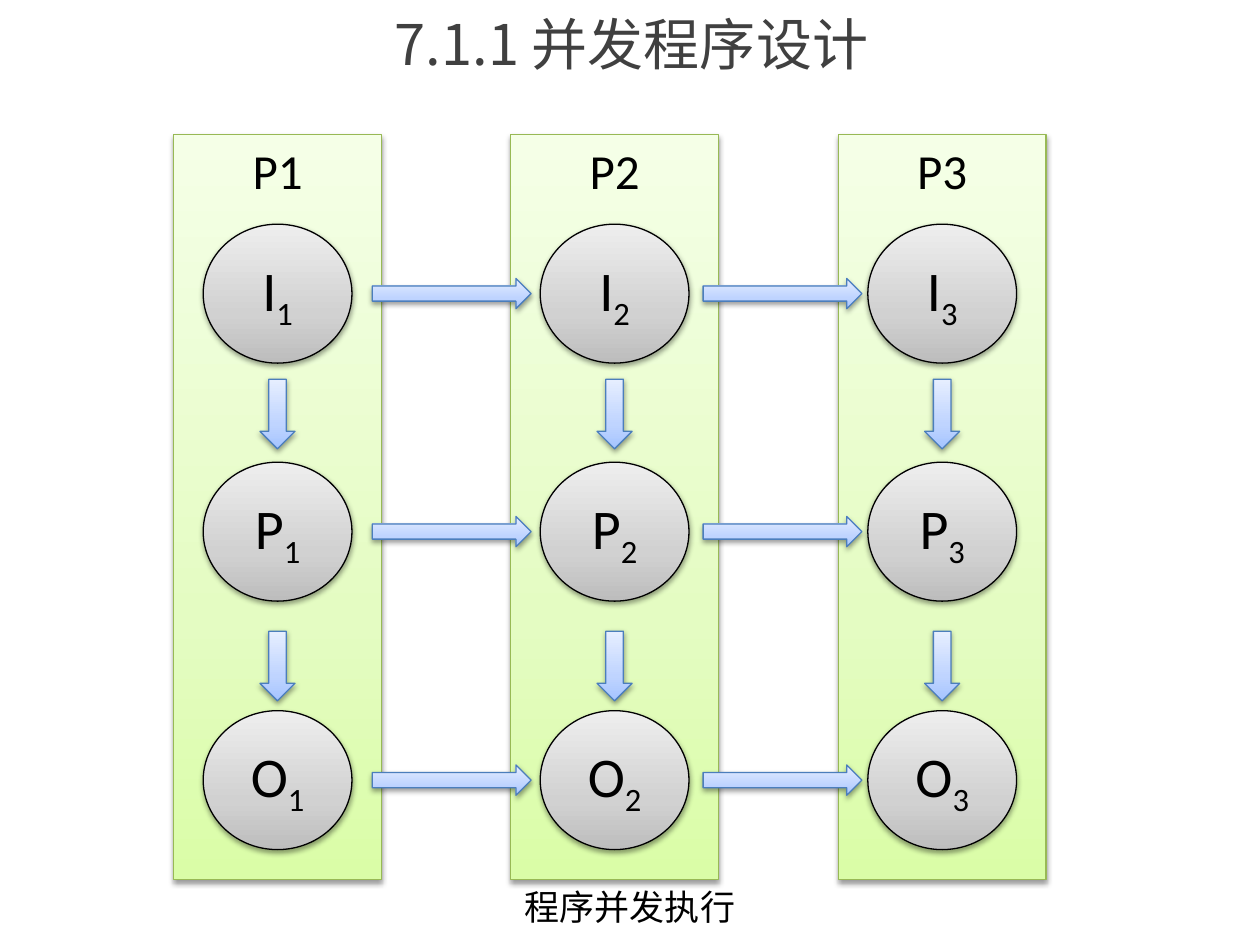
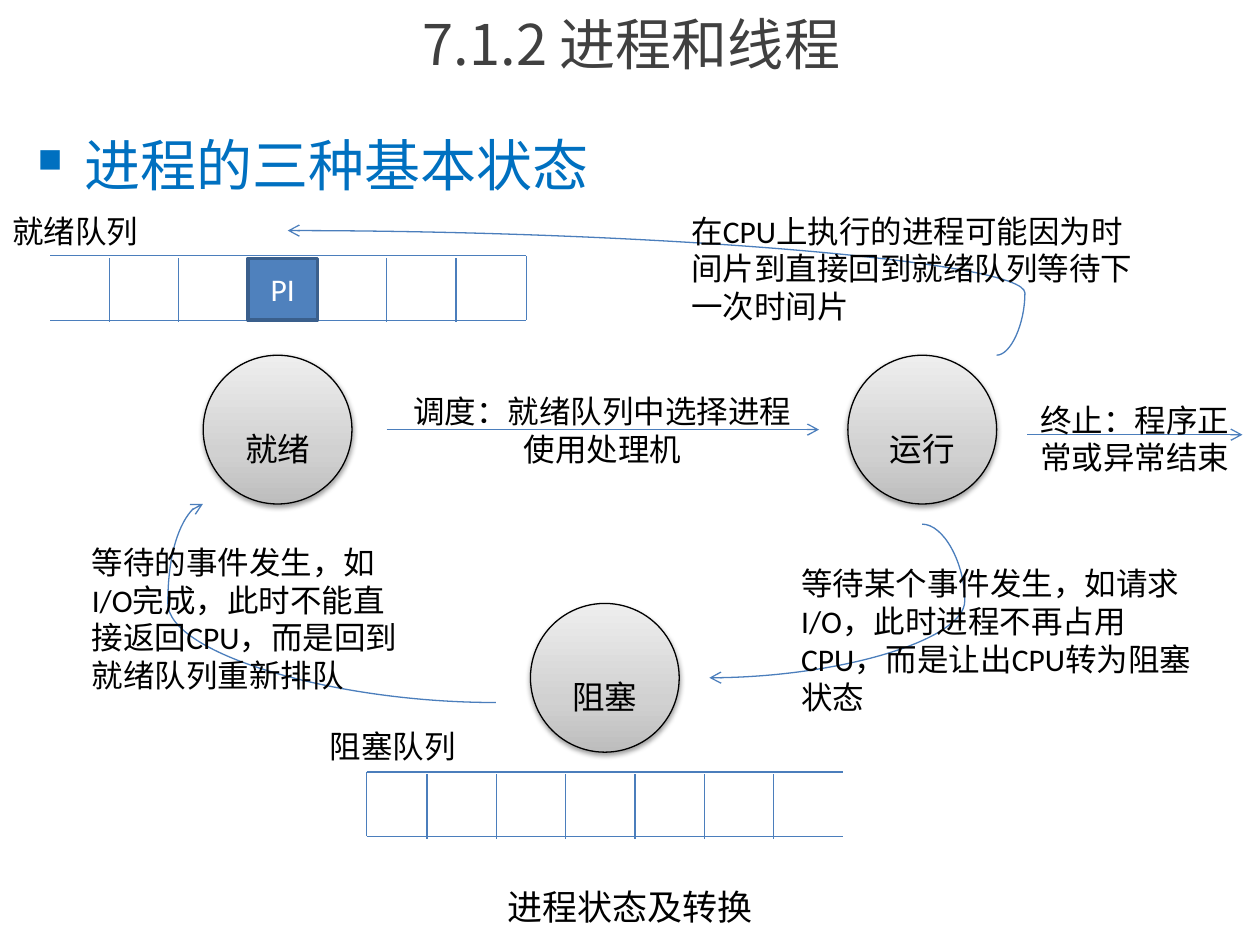
import dataclasses

import lxml.etree
import pptx
import pptx.dml.color
import pptx.enum.shapes
import pptx.enum.text
import pptx.oxml.ns
import pptx.util

Pt = pptx.util.Pt
qn = pptx.oxml.ns.qn
SHAPE = pptx.enum.shapes.MSO_SHAPE
CONNECTOR = pptx.enum.shapes.MSO_CONNECTOR
ALIGN = pptx.enum.text.PP_ALIGN
ANCHOR = pptx.enum.text.MSO_ANCHOR


@dataclasses.dataclass(frozen=True)
class Theme:
    latin: str = "Calibri"
    chinese: str = "Noto Sans CJK SC"
    ink: str = "000000"
    title: str = "404040"
    heading: str = "0070C0"
    white: str = "FFFFFF"
    stroke: str = "4B7EBC"
    process: str = "4F81BD"
    process_edge: str = "3A5F8C"
    band_edge: str = "98B955"
    green: tuple = ("DAFDA7", "E4FCC2", "F5FFE7")
    grey: tuple = ("BDBDBD", "D1D1D1", "EEEEEE")
    blue: tuple = ("A4C4FF", "BFD4FF", "E6EEFF")
    title_size: float = 32
    state_size: float = 32
    band_size: float = 28
    caption_size: float = 20
    note_size: float = 18
    hairline: float = 0.75


THEME = Theme()
STATE_WIDTH = 85


def rgb(code):
    return pptx.dml.color.RGBColor.from_string(code)


def add_xml(parent, tag, **attributes):
    element = lxml.etree.SubElement(parent, qn(tag))
    for name, value in attributes.items():
        element.set(name, str(value))
    return element


def add_shadow(effects, blur, distance, angle, opacity):
    shadow = add_xml(effects, "a:outerShdw", blurRad=Pt(blur), dist=Pt(distance),
                     dir=angle * 60000, algn="ctr", rotWithShape=0)
    colour = add_xml(shadow, "a:srgbClr", val=THEME.ink)
    add_xml(colour, "a:alpha", val=opacity * 1000)


# Text
def write(shape, text, size=THEME.note_size, color=THEME.ink, font=THEME.latin,
          align=ALIGN.LEFT, anchor=ANCHOR.TOP, subscript="", lowered=False):
    """Put text into a shape, optionally lowered or followed by a subscript."""
    frame = shape.text_frame
    frame.word_wrap = True
    frame.auto_size = pptx.enum.text.MSO_AUTO_SIZE.NONE
    frame.vertical_anchor = anchor
    paragraph = frame.paragraphs[0]
    paragraph.alignment = align
    for part, is_low in ((text, lowered), (subscript, True)):
        if not part:
            continue
        run = paragraph.add_run()
        run.text = part
        run.font.size = Pt(size)
        run.font.color.rgb = rgb(color)
        run.font.name = font
        properties = run.font._element
        add_xml(properties, "a:ea", typeface=THEME.chinese)
        if is_low:
            properties.set("baseline", "-25000")
    return paragraph


def add_note(slide, text, left, top, width, height, **text_format):
    box = slide.shapes.add_textbox(Pt(left), Pt(top), Pt(width), Pt(height))
    return write(box, text, **text_format)


def add_caption(slide, text):
    add_note(slide, text, 246, 502.5, 228, 29, size=THEME.caption_size,
             font=THEME.chinese, align=ALIGN.CENTER)


def add_heading(slide, text):
    paragraph = add_note(slide, text, 14.4, 71.3, 692, 459, size=THEME.title_size,
                         color=THEME.heading, font=THEME.chinese)
    properties = paragraph._p.get_or_add_pPr()
    properties.set("marL", str(Pt(27)))
    properties.set("indent", str(Pt(-27)))
    spacing = add_xml(properties, "a:spcBef")
    add_xml(spacing, "a:spcPct", val=20000)
    add_xml(properties, "a:buSzPct", val=60000)
    add_xml(properties, "a:buChar", char="■")


def add_titled_slide(deck, text):
    slide = deck.slides.add_slide(deck.slide_layouts[5])
    title = slide.shapes.title
    title.left, title.top, title.width, title.height = Pt(52), Pt(0), Pt(625), Pt(49)
    paragraph = write(title, text, size=THEME.title_size, color=THEME.title,
                      font=THEME.chinese, align=ALIGN.CENTER, anchor=ANCHOR.MIDDLE)
    # The schema places text effects directly after the fill
    properties = paragraph.runs[0].font._element
    effects = add_xml(properties, "a:effectLst")
    properties.find(qn("a:solidFill")).addnext(effects)
    add_shadow(effects, blur=3, distance=3, angle=45, opacity=43)
    return slide


# Shapes
def add_block(slide, kind, left, top, width, height, edge, edge_width=THEME.hairline):
    block = slide.shapes.add_shape(kind, Pt(left), Pt(top), Pt(width), Pt(height))
    block.shadow.inherit = False
    block.line.color.rgb = rgb(edge)
    block.line.width = Pt(edge_width)
    return block


def add_shaded(slide, kind, left, top, width, height, colours, edge):
    block = add_block(slide, kind, left, top, width, height, edge)
    block.fill.gradient()
    block.fill.gradient_angle = 90
    properties = block._element.spPr
    stops = properties.find(qn("a:gradFill")).find(qn("a:gsLst"))
    for stop in list(stops):
        stops.remove(stop)
    for position, colour in zip((0, 35, 100), colours):
        stop = add_xml(stops, "a:gs", pos=position * 1000)
        add_xml(stop, "a:srgbClr", val=colour)
    add_shadow(properties.find(qn("a:effectLst")), blur=3.1, distance=1.6,
               angle=90, opacity=38)
    return block


def add_state(slide, text, center_x, center_y, height=STATE_WIDTH, **text_format):
    state = add_shaded(slide, SHAPE.OVAL, center_x - STATE_WIDTH / 2,
                       center_y - height / 2, STATE_WIDTH, height, THEME.grey, THEME.ink)
    write(state, text, size=THEME.state_size, align=ALIGN.CENTER,
          anchor=ANCHOR.MIDDLE, **text_format)


# Lines
def add_line(slide, start, end, arrow=False, bend=None):
    """Draw a line; bend is the curve's middle as a share of its width."""
    kind = CONNECTOR.STRAIGHT if bend is None else CONNECTOR.CURVE
    line = slide.shapes.add_connector(kind, *(Pt(value) for value in (*start, *end)))
    line.line.color.rgb = rgb(THEME.stroke)
    line.line.width = Pt(THEME.hairline)
    properties = line._element.spPr
    if arrow:
        add_xml(properties.find(qn("a:ln")), "a:tailEnd", type="arrow")
    add_xml(properties, "a:effectLst")
    if bend is not None:
        geometry = properties.find(qn("a:prstGeom"))
        guides = geometry.find(qn("a:avLst"))
        if guides is None:
            guides = add_xml(geometry, "a:avLst")
        add_xml(guides, "a:gd", name="adj1", fmla=f"val {round(bend * 100000)}")


def add_queue(slide, left, top, closed_x, first_divider):
    width, height, cell, drop = 272, 36.8, 39.6, 1.3
    for y in (top, top + height):
        add_line(slide, (left, y), (left + width, y))
    add_line(slide, (closed_x, top), (closed_x, top + height))
    for index in range(6):
        x = first_divider + index * cell
        add_line(slide, (x, top + drop), (x, top + drop + height))


# Slides
def build_concurrency(deck):
    slide = add_titled_slide(deck, "7.1.1 并发程序设计 ")
    centers = (158.6, 351.2, 538.4)
    rows = {"I": 167.8, "P": 303.8, "O": 445.8}
    band_top, band_width = 77, 118.8

    # Program bands
    for number, center in enumerate(centers, 1):
        left = center - band_width / 2
        add_shaded(slide, SHAPE.RECTANGLE, left, band_top, band_width, 425.5,
                   THEME.green, THEME.band_edge)
        add_note(slide, f"P{number}", left, band_top, band_width, 41,
                 size=THEME.band_size, align=ALIGN.CENTER)

    # Steps of each program
    for number, center in enumerate(centers, 1):
        for step, y in rows.items():
            add_state(slide, step, center, y, height=79.4, subscript=str(number))
        for top in (216.7, 360.7):
            add_shaded(slide, SHAPE.DOWN_ARROW, center - 10, top, 20, 39.8,
                       THEME.blue, THEME.stroke)

    # Order between programs
    for y in rows.values():
        for left in (212.8, 401.8):
            add_shaded(slide, SHAPE.RIGHT_ARROW, left, y - 8.65, 90.7, 17.3,
                       THEME.blue, THEME.stroke)
    add_caption(slide, "程序并发执行")


def build_process_states(deck):
    slide = add_titled_slide(deck, "7.1.2 进程和线程 ")
    add_heading(slide, "进程的三种基本状态")

    # States
    for name, x, y in (("就绪", 158.6, 245.5), ("运行", 527, 245.5), ("阻塞", 345.6, 387.3)):
        add_state(slide, name, x, y, lowered=True)

    # Queues
    add_queue(slide, left=28.8, top=146.2, closed_x=300.8, first_divider=62.6)
    add_note(slide, "就绪队列", 0, 117.4, 102, 29)
    process = add_block(slide, SHAPE.RECTANGLE, 141.8, 147.6, 39.6, 35.4,
                        THEME.process_edge, edge_width=2)
    process.fill.solid()
    process.fill.fore_color.rgb = rgb(THEME.process)
    write(process, "PI", color=THEME.white, align=ALIGN.CENTER, anchor=ANCHOR.MIDDLE)
    add_queue(slide, left=209.5, top=441.2, closed_x=209.5, first_divider=244)
    add_note(slide, "阻塞队列", 181.4, 411.8, 102, 29)

    # Transitions
    add_line(slide, (221, 245.5), (468, 245.5), arrow=True)
    add_note(slide, "调度：就绪队列中选择进程使用处理机", 221, 220.3, 246.5, 51,
             align=ALIGN.CENTER)
    add_line(slide, (587, 248.4), (710, 248.4), arrow=True)
    add_note(slide, "终止：程序正常或异常结束", 587, 225.4, 123, 29, align=ALIGN.CENTER)
    add_line(slide, (527, 299.5), (405.4, 387.3), arrow=True, bend=-0.2)
    add_note(slide, "等待某个事件发生，如请求I/O，此时进程不再占用CPU，而是让出CPU转为阻塞状态",
             450.7, 319, 238.3, 73)
    add_line(slide, (283.4, 401.5), (116, 288), arrow=True, bend=1.12)
    add_note(slide, "等待的事件发生，如I/O完成，此时不能直接返回CPU，而是回到就绪队列重新排队",
             45.4, 306.7, 193, 94.5)
    add_line(slide, (569.5, 203), (164.4, 131.8), arrow=True, bend=-0.04)
    add_note(slide, "在CPU上执行的进程可能因为时间片到直接回到就绪队列等待下一次时间片",
             388, 117.4, 278, 73)
    add_caption(slide, "进程状态及转换")


def main():
    deck = pptx.Presentation()
    deck.slide_width, deck.slide_height = Pt(720), Pt(540)
    build_concurrency(deck)
    build_process_states(deck)
    deck.save("out.pptx")


if __name__ == "__main__":
    main()
